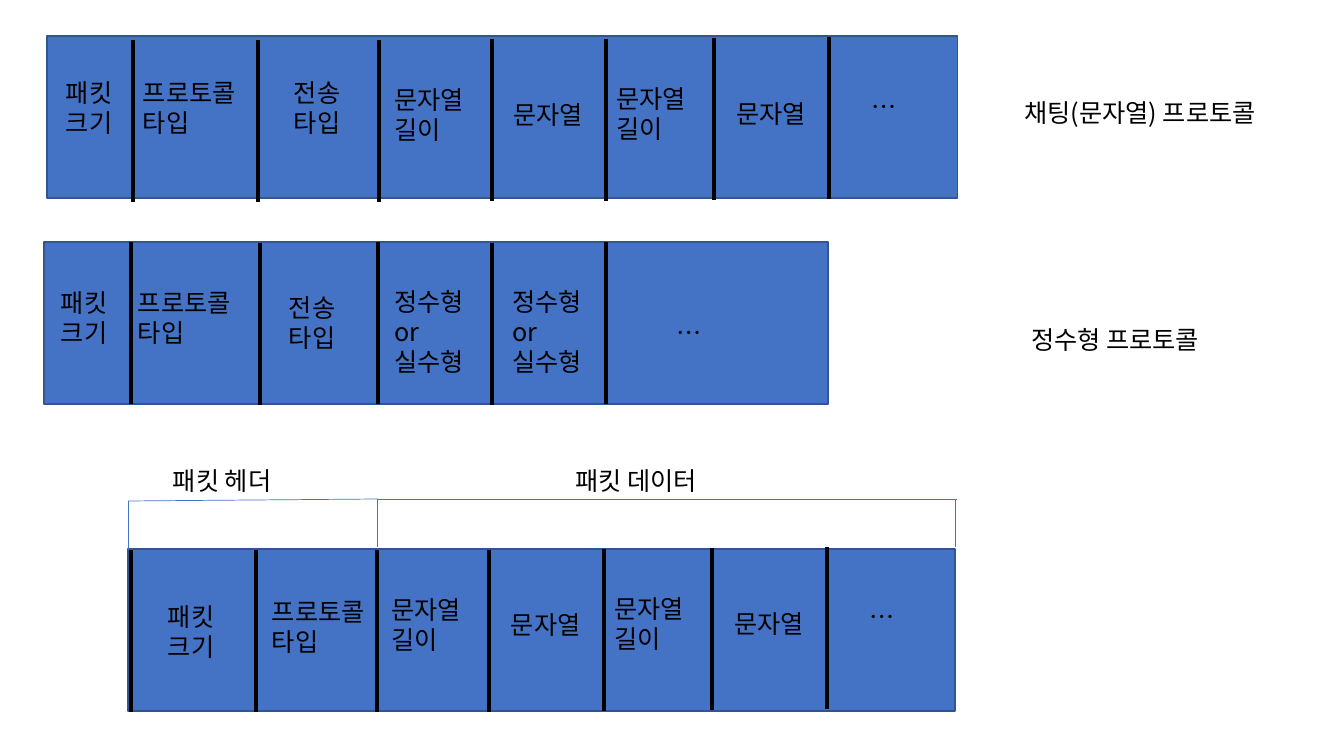
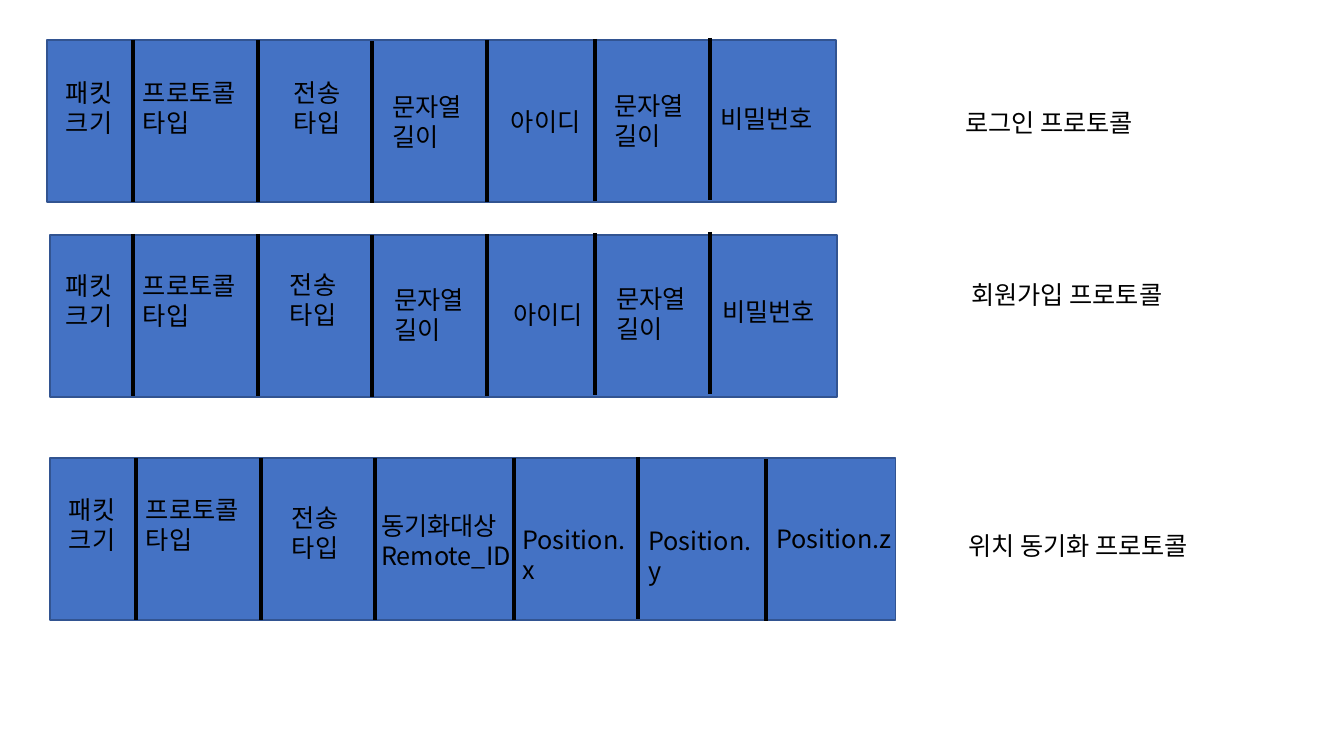
from pptx import Presentation
from pptx.dml.color import RGBColor
from pptx.enum.shapes import MSO_CONNECTOR as CONN, MSO_SHAPE as SHAPE
from pptx.enum.text import MSO_AUTO_SIZE as AUTOSIZE
from pptx.oxml.ns import qn
from pptx.util import Emu, Inches, Pt
from lxml.etree import SubElement

# Shared style
BLUE = RGBColor(0x44, 0x72, 0xC4)
EDGE = RGBColor(0x32, 0x54, 0x91)
BLACK = RGBColor(0, 0, 0)
FONT = "Noto Sans CJK KR"
TEXT_FORMAT = {"name": FONT, "size": Pt(18)}
FRAME_FORMAT = {"word_wrap": True, "auto_size": AUTOSIZE.SHAPE_TO_FIT_TEXT}
ROW_H = 162
LINE_H = {1: 40, 2: 71, 3: 102}

# Field kinds: text, box width, lines after wrapping
SIZE = ("패킷크기", 77, 2)
PROTOCOL = ("프로토콜 \n타입", 125, 2)
SEND = ("전송타입", 82, 2)
LENGTH = ("문자열길이", 103, 2)
STRING = ("문자열", 140, 1)
NUMBER = ("정수형 or \n실수형", 103, 3)
MORE = ("…", 140, 1)
USER_ID = ("아이디", 140, 1)
PASSWORD = ("비밀번호", 140, 1)
REMOTE = ("동기화대상 \nRemote_ID", 151, 2)
POS_X = ("Position.x", 134, 2)
POS_Y = ("Position.y", 134, 2)
POS_Z = ("Position.z", 136, 1)


def px(n):
    return Emu(round(n * 914400 / 100.8))


def apply(target, values):
    for key, value in values.items():
        setattr(target, key, value)


class Deck:
    def __init__(self):
        self.prs = Presentation()
        apply(self.prs, {"slide_width": Inches(13.33), "slide_height": Inches(7.5)})

    def new_slide(self):
        self.shapes = self.prs.slides.add_slide(self.prs.slide_layouts[6]).shapes

    def bar(self, x, y, w):
        sp = self.shapes.add_shape(SHAPE.RECTANGLE, px(x), px(y), px(w), px(ROW_H))
        sp.shadow.inherit = False
        sp.fill.solid()
        sp.fill.fore_color.rgb = BLUE
        sp.line.color.rgb = EDGE
        sp.line.width = Pt(1)

    def line(self, x1, y1, x2, y2, color=BLACK, width=3):
        cx = self.shapes.add_connector(CONN.STRAIGHT, px(x1), px(y1), px(x2), px(y2))
        cx.line.color.rgb = color
        cx.line.width = Pt(width)
        SubElement(cx._element.spPr, qn("a:effectLst"))

    def label(self, text, x, y, w, lines=1):
        sp = self.shapes.add_textbox(px(x), px(y), px(w), px(LINE_H[lines]))
        tf = sp.text_frame
        apply(tf, FRAME_FORMAT)
        for i, part in enumerate(text.split("\n")):
            p = tf.add_paragraph() if i else tf.paragraphs[0]
            r = p.add_run()
            r.text = part
            apply(r.font, TEXT_FORMAT)
            r.font.color.rgb = BLACK
            # Korean glyphs take the East Asian font
            SubElement(r.font._element, qn("a:ea")).set("typeface", FONT)

    def packet(self, bar, dividers, fields):
        self.bar(*bar)
        for x, top in dividers:
            self.line(x, top, x, top + ROW_H)
        for (text, w, lines), x, y in fields:
            self.label(text, x, y, w, lines)


deck = Deck()

# Slide 1: chat and number protocols, packet structure
deck.new_slide()
deck.packet(
    (47, 36, 910),
    [(133, 40), (258, 40), (379, 40), (492, 39), (606, 39), (714, 38), (829, 37)],
    [(SIZE, 56, 72), (PROTOCOL, 133, 72), (SEND, 284, 72), (LENGTH, 384, 79),
     (STRING, 503, 94), (LENGTH, 606, 78), (STRING, 726, 93), (MORE, 861, 86)])
deck.packet(
    (44, 242, 784),
    [(131, 242), (260, 243), (378, 242), (492, 243), (606, 242)],
    [(SIZE, 51, 282), (PROTOCOL, 128, 282), (SEND, 279, 287),
     (NUMBER, 384, 281), (NUMBER, 502, 281), (MORE, 666, 312)])
deck.packet(
    (128, 549, 827),
    [(131, 550), (256, 550), (377, 550), (489, 550), (604, 549), (712, 548), (827, 547)],
    [(SIZE, 158, 596), (PROTOCOL, 262, 591), (LENGTH, 381, 589), (STRING, 501, 604),
     (LENGTH, 604, 588), (STRING, 724, 603), (MORE, 859, 596)])
# Brackets over header and data
for ends in [(128, 550, 128, 501), (377, 547, 377, 499), (128, 501, 378, 499),
             (377, 499, 957, 499), (955, 499, 955, 547)]:
    deck.line(*ends, color=BLUE, width=0.5)
deck.label("패킷 헤더", 163, 460, 150)
deck.label("패킷 데이터", 565, 460, 160)
deck.label("채팅(문자열) 프로토콜", 1014, 92, 283)
deck.label("정수형 프로토콜", 1021, 319, 283)

# Slide 2: login, sign-up and position protocols
deck.new_slide()
ACCOUNT_DIVIDERS = [(133, 0), (258, 0), (372, 1), (487, 0), (595, -1), (710, -2)]
for bar, top, fields in [
    ((47, 40, 789), 40,
     [(SIZE, 56, 72), (PROTOCOL, 133, 72), (SEND, 284, 72), (LENGTH, 382, 86),
      (USER_ID, 501, 101), (LENGTH, 604, 85), (PASSWORD, 710, 98)]),
    ((50, 235, 787), 234,
     [(SIZE, 56, 265), (PROTOCOL, 133, 265), (SEND, 280, 264), (LENGTH, 384, 279),
      (USER_ID, 503, 294), (LENGTH, 606, 278), (PASSWORD, 712, 291)]),
]:
    deck.packet(bar, [(x, top + dy) for x, dy in ACCOUNT_DIVIDERS], fields)
deck.packet(
    (50, 458, 845),
    [(136, 458), (261, 458), (375, 458), (514, 458), (638, 457), (766, 459)],
    [(SIZE, 59, 489), (PROTOCOL, 136, 489), (SEND, 282, 497), (REMOTE, 371, 505),
     (POS_X, 512, 519), (POS_Y, 638, 520), (POS_Z, 766, 518)])
deck.label("로그인 프로토콜", 955, 102, 283)
deck.label("회원가입 프로토콜", 961, 274, 283)
deck.label("위치 동기화 프로토콜", 958, 525, 289)

deck.prs.save("out.pptx")
